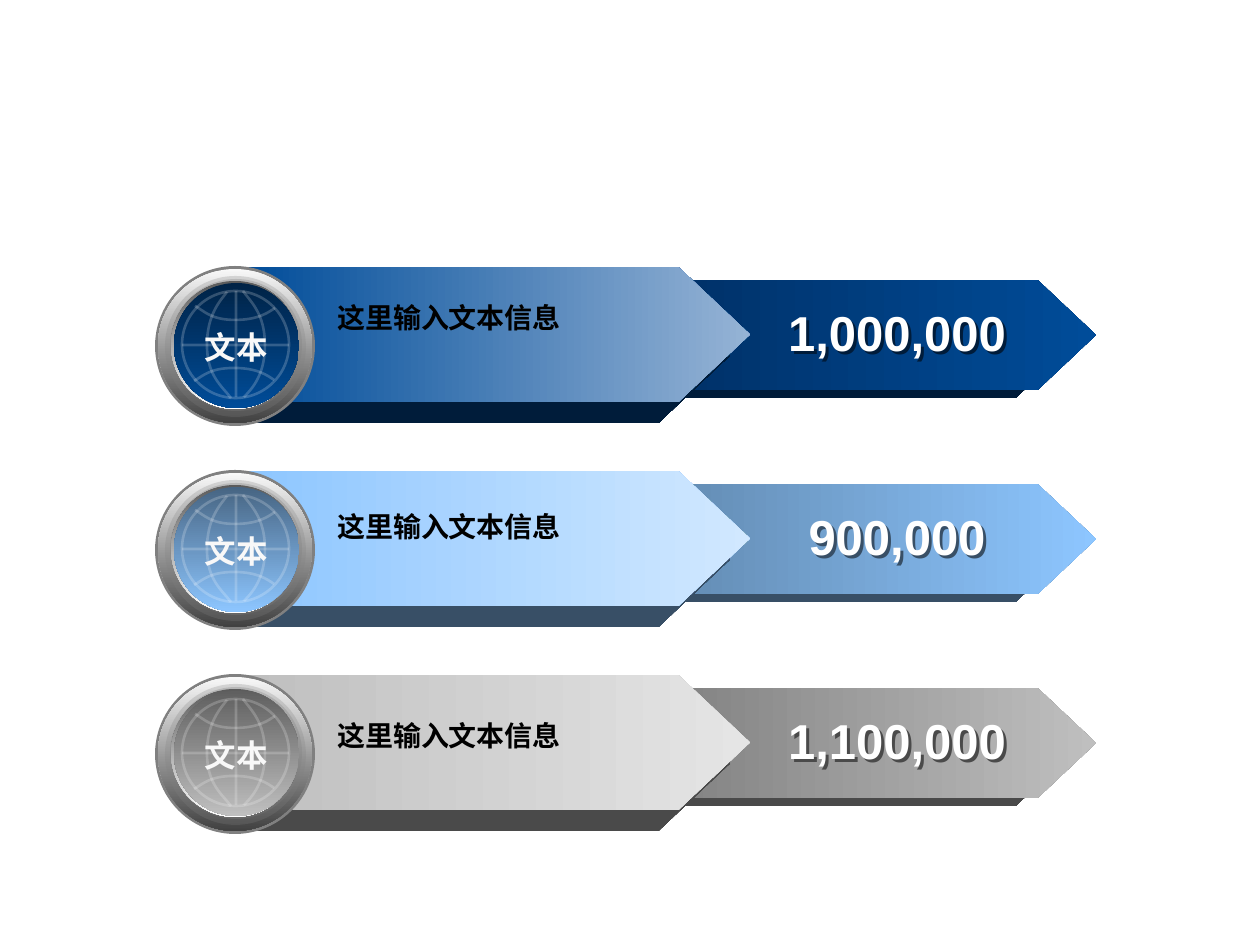
from dataclasses import dataclass
from math import atan2, degrees, hypot

from lxml.etree import SubElement
from pptx import Presentation
from pptx.dml.color import RGBColor
from pptx.enum.shapes import MSO_CONNECTOR, MSO_SHAPE
from pptx.enum.text import PP_ALIGN
from pptx.oxml.ns import qn
from pptx.util import Pt

SCALE = 914400 // 126
PITCH = 204
LABEL_PITCH = 209


@dataclass(frozen=True)
class Theme:
    font: str = "Arial"
    badge_size: int = 18
    label_size: int = 16
    value_size: int = 28
    white: str = "FFFFFF"
    black: str = "000000"
    pale: str = "F8F8F8"
    ring: str = "808080"
    steel: tuple = ("F8F8F8", "414141")
    rim: tuple = ("5C5C5C", "FFFFFF")
    globe_width: float = 1.5
    globe_alpha: int = 20


@dataclass(frozen=True)
class Row:
    value: str
    deep: str
    dark: str
    main: str
    light: str
    side: str


THEME = Theme()
ROWS = [
    Row("1,000,000", "002346", "00326A", "004C99", "95B3D5", "001C3A"),
    Row("900,000", "476583", "658EB6", "8DC6FF", "D1E8FF", "384F66"),
    Row("1,100,000", "606060", "858585", "BFBFBF", "E5E5E5", "4A4A4A"),
]
# Globe curves: start, then two cubic segments of three points each
CURVES = [
    [(243, 291), (251, 302), (265, 314), (265, 345),
     (265, 375), (252, 389), (244, 397)],
    [(227, 292), (221, 300), (207, 314), (207, 345),
     (207, 376), (222, 386), (231, 398)],
    [(274, 380), (268, 376), (258, 368), (234, 368),
     (210, 368), (203, 376), (194, 381)],
    [(275, 308), (269, 312), (259, 320), (235, 320),
     (211, 320), (204, 311), (195, 306)],
]


def px(*sizes):
    return [size * SCALE for size in sizes]


def fade(fill, alpha):
    """Make a solid fill show at the given percent of opacity."""
    color = fill._xPr.find(qn("a:solidFill"))[0]
    SubElement(color, qn("a:alpha"), val=str(alpha * 1000))


def add_depth(shape, color, right, down):
    """Cast a hard shadow, moved by the given px."""
    shape.shadow.inherit = False
    effects = shape._element.spPr.find(qn("a:effectLst"))
    angle = degrees(atan2(down, right)) % 360
    shadow = SubElement(effects, qn("a:outerShdw"), blurRad="0",
                        dist=str(round(hypot(right, down) * SCALE)),
                        dir=str(round(angle * 60000)),
                        algn="ctr", rotWithShape="0")
    SubElement(shadow, qn("a:srgbClr"), val=color)


def paint(shape, colors, angle=0, alpha=None):
    """Fill with one colour, or with a gradient between two."""
    shape.shadow.inherit = False
    shape.line.fill.background()
    fill = shape.fill
    if isinstance(colors, str):
        fill.solid()
        fill.fore_color.rgb = RGBColor.from_string(colors)
        if alpha:
            fade(fill, alpha)
        return
    fill.gradient()
    fill.gradient_angle = angle
    for stop, color in zip(fill.gradient_stops, colors):
        stop.color.rgb = RGBColor.from_string(color)


def add_arrow(group, kind, box, colors, side, shift):
    arrow = group.shapes.add_shape(kind, *px(*box))
    arrow.adjustments[0] = 0.53
    paint(arrow, colors)
    add_depth(arrow, side, *shift)


def add_disc(group, box, colors, alpha=None):
    disc = group.shapes.add_shape(MSO_SHAPE.OVAL, *px(*box))
    paint(disc, colors, angle=270, alpha=alpha)


def stroke(line):
    line.width = Pt(THEME.globe_width)
    line.color.rgb = RGBColor.from_string(THEME.white)
    fade(line.fill, THEME.globe_alpha)


def add_curve(group, knots):
    """Draw a freeform whose points are joined by cubic segments."""
    start, *rest = knots
    builder = group.shapes.build_freeform(*start, scale=SCALE)
    builder.add_line_segments(rest, close=False)
    curve = builder.convert_to_shape()
    route = next(curve._element.iter(qn("a:path")))
    legs = route.findall(qn("a:lnTo"))
    for i in range(0, len(legs), 3):
        cubic = SubElement(route, qn("a:cubicBezTo"))
        for leg in legs[i:i + 3]:
            cubic.append(leg[0])
            route.remove(leg)
    curve.shadow.inherit = False
    curve.fill.background()
    stroke(curve.line)


def add_globe(group, top):
    ring = group.shapes.add_shape(MSO_SHAPE.OVAL, *px(182, top + 291, 107, 107))
    ring.shadow.inherit = False
    ring.fill.background()
    stroke(ring.line)
    for ends in ((236, top + 291, 236, top + 397),
                 (182, top + 345, 289, top + 345)):
        line = group.shapes.add_connector(MSO_CONNECTOR.STRAIGHT, *px(*ends))
        SubElement(line._element.spPr, qn("a:effectLst"))
        stroke(line.line)
    for knots in CURVES:
        add_curve(group, [(x, y + top) for x, y in knots])


def add_text(group, box, text, size, color, align=PP_ALIGN.LEFT, wrap=True):
    label = group.shapes.add_textbox(*px(*box))
    frame = label.text_frame
    frame.word_wrap = wrap
    frame.text = text
    para = frame.paragraphs[0]
    para.alignment = align
    font = para.runs[0].font
    font.size, font.bold, font.name = Pt(size), True, THEME.font
    font.color.rgb = RGBColor.from_string(color)
    return label


def add_row(slide, index, row):
    group = slide.shapes.add_group_shape()
    top = index * PITCH
    add_arrow(group, MSO_SHAPE.CHEVRON, (689, top + 280, 407, 110),
              (row.dark, row.main), row.side, (-22, 8))
    add_arrow(group, MSO_SHAPE.PENTAGON, (242, top + 267, 508, 135),
              (row.main, row.light), row.side, (-20, 21))
    for left, y, size, colors, alpha in (
            (155, 266, 160, THEME.ring, None),
            (158, 269, 154, THEME.steel, None),
            (165, 276, 141, THEME.ring, 25),
            (170, 279, 132, THEME.ring, 30),
            (171, 281, 128, THEME.rim, None),
            (174, 283, 125, (row.deep, row.main), None)):
        add_disc(group, (left, y + top, size, size), colors, alpha)
    add_globe(group, top)
    add_text(group, (192, top + 322, 89, 50), "文本", THEME.badge_size,
             THEME.pale, PP_ALIGN.CENTER, wrap=False)
    add_text(group, (325, 294 + index * LABEL_PITCH, 433, 47),
             "这里输入文本信息", THEME.label_size, THEME.black)
    value = add_text(group, (728, top + 296, 338, 72), row.value,
                     THEME.value_size, THEME.white, PP_ALIGN.CENTER)
    value.text_frame.paragraphs[0].space_before = Pt(4)
    add_depth(value, row.side, 3, 3)


def main():
    deck = Presentation()
    deck.slide_width, deck.slide_height = px(1260, 945)
    slide = deck.slides.add_slide(deck.slide_layouts[6])
    for index, row in enumerate(ROWS):
        add_row(slide, index, row)
    deck.save("out.pptx")


if __name__ == "__main__":
    main()
